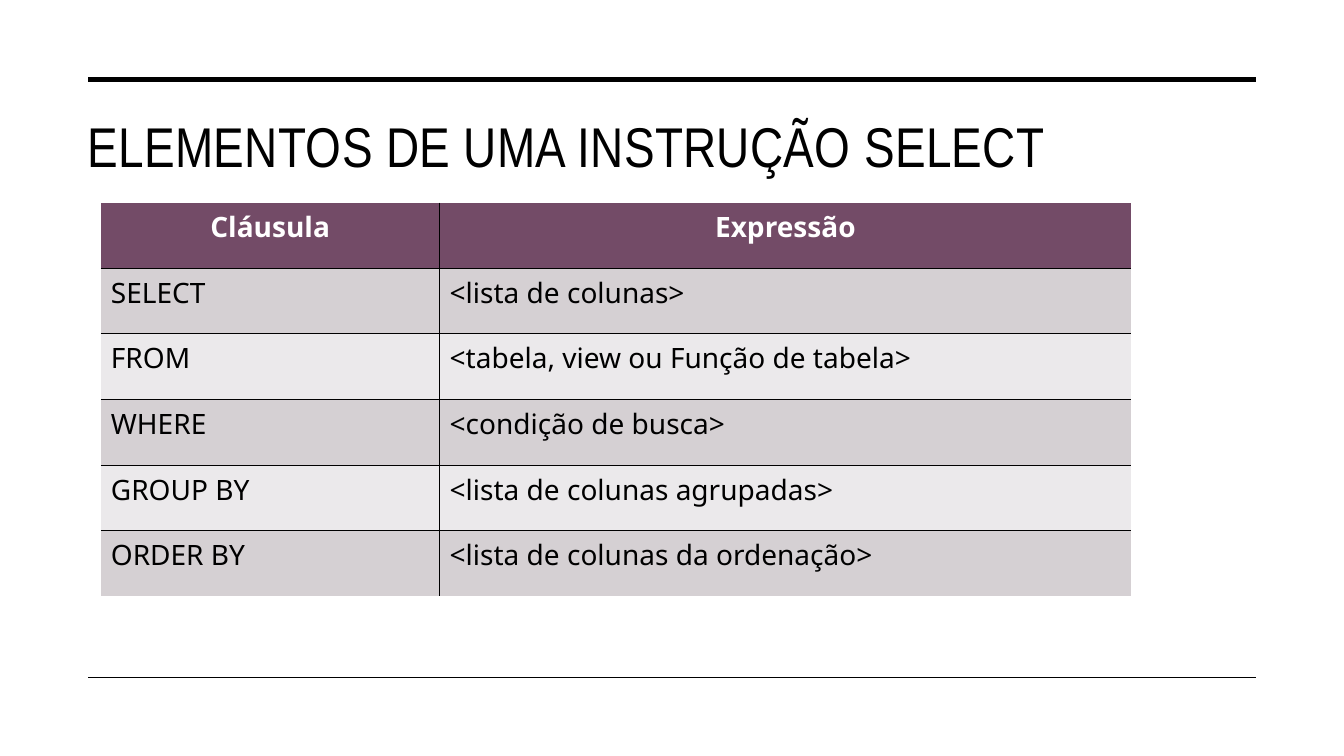
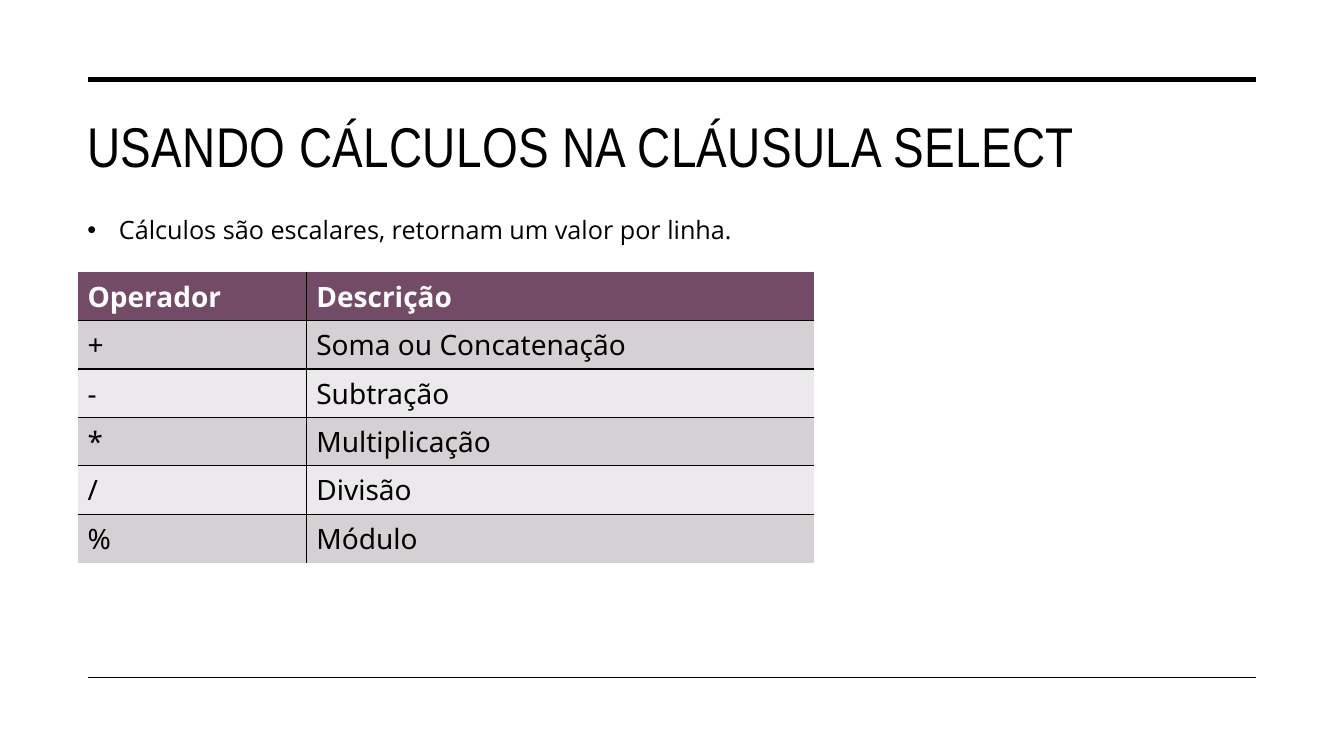
from dataclasses import dataclass

from lxml.etree import SubElement
from pptx import Presentation
from pptx.dml.color import RGBColor as Rgb
from pptx.enum.shapes import MSO_CONNECTOR as Connector
from pptx.enum.text import MSO_ANCHOR as Anchor, PP_ALIGN as Align
from pptx.oxml.ns import qn
from pptx.util import Pt


@dataclass(frozen=True)
class Theme:
    ink: Rgb = Rgb(0, 0, 0)
    paper: Rgb = Rgb(255, 255, 255)
    header: Rgb = Rgb(0x73, 0x4B, 0x67)
    bands: tuple = (Rgb(0xD5, 0xD0, 0xD3), Rgb(0xEB, 0xE9, 0xEB))
    title_font: str = "Arial Narrow"
    table_font: str = "Noto Sans"
    body_font: str = "Open Sans"
    title_size: int = 40
    table_size: int = 20
    body_size: int = 18


THEME = Theme()
WIDTH, HEIGHT = 960, 540
RULE_LEFT, RULE_RIGHT = 63.2, 897.2
RULES = ((57, 3.5), (483.8, 1))
TITLE_BOX = (55.4, 72.7, 841.7, 61.9)


def add_run(paragraph, text, font, size, color, bold=False):
    run = paragraph.add_run()
    run.text = text
    run.font.name = font
    run.font.size = Pt(size)
    run.font.color.rgb = color
    run.font.bold = bold
    return run


def add_text_frame(slide, box, anchor):
    frame = slide.shapes.add_textbox(*map(Pt, box)).text_frame
    frame.word_wrap = True
    frame.vertical_anchor = anchor
    return frame


def add_rule(slide, top, weight):
    rule = slide.shapes.add_connector(
        Connector.STRAIGHT, Pt(RULE_LEFT), Pt(top), Pt(RULE_RIGHT), Pt(top))
    rule.line.color.rgb = THEME.ink
    rule.line.width = Pt(weight)
    SubElement(rule.element.spPr, qn("a:effectLst"))


def add_titled_slide(deck, title):
    slide = deck.slides.add_slide(deck.slide_layouts[6])
    for top, weight in RULES:
        add_rule(slide, top, weight)
    frame = add_text_frame(slide, TITLE_BOX, Anchor.MIDDLE)
    run = add_run(frame.paragraphs[0], title, THEME.title_font,
                  THEME.title_size, THEME.ink)
    run.font._element.set("spc", "30")
    return slide


def add_bullet(slide, box, text, indent=22.5):
    paragraph = add_text_frame(slide, box, Anchor.TOP).paragraphs[0]
    properties = paragraph._p.get_or_add_pPr()
    properties.set("marL", str(Pt(indent)))
    properties.set("indent", str(-Pt(indent)))
    SubElement(properties, qn("a:buFont"), typeface="Arial")
    SubElement(properties, qn("a:buChar"), char="•")
    add_run(paragraph, text, THEME.body_font, THEME.body_size, THEME.ink)


def set_borders(cell, sides):
    properties = cell._tc.get_or_add_tcPr()
    for side, visible in sides.items():
        border = SubElement(properties, qn(f"a:ln{side}"), w=str(Pt(1)))
        if visible:
            fill = SubElement(border, qn("a:solidFill"))
            SubElement(fill, qn("a:srgbClr"), val=str(THEME.ink))
        else:
            SubElement(border, qn("a:noFill"))


def add_clause_table(slide, box, column_widths, rows, header_align=Align.LEFT):
    last_row, last_column = len(rows) - 1, len(column_widths) - 1
    table = slide.shapes.add_table(
        len(rows), len(column_widths), *map(Pt, box)).table
    for column, width in zip(table.columns, column_widths):
        column.width = Pt(width)
    for r, texts in enumerate(rows):
        is_header = r == 0
        table.rows[r].height = Pt(box[3] / len(rows))
        for c, text in enumerate(texts):
            cell = table.cell(r, c)
            set_borders(cell, {"L": c > 0, "R": c < last_column,
                               "T": r > 0, "B": r < last_row})
            cell.fill.solid()
            cell.fill.fore_color.rgb = (
                THEME.header if is_header else THEME.bands[(r - 1) % 2])
            paragraph = cell.text_frame.paragraphs[0]
            paragraph.alignment = header_align if is_header else Align.LEFT
            add_run(paragraph, text, THEME.table_font, THEME.table_size,
                    THEME.paper if is_header else THEME.ink, is_header)


def add_elements_slide(deck):
    slide = add_titled_slide(deck, "ELEMENTOS DE UMA INSTRUÇÃO SELECT")
    clauses = [
        ("Cláusula", "Expressão"),
        ("SELECT", "<lista de colunas>"),
        ("FROM", "<tabela, view ou Função de tabela>"),
        ("WHERE", "<condição de busca>"),
        ("GROUP BY", "<lista de colunas agrupadas>"),
        ("ORDER BY", "<lista de colunas da ordenação>"),
    ]
    add_clause_table(slide, (72, 144.7, 736, 281.4), (242, 494), clauses,
                     Align.CENTER)


def add_calculations_slide(deck):
    slide = add_titled_slide(deck, "USANDO CÁLCULOS NA CLÁUSULA SELECT")
    operators = [
        ("Operador", "Descrição"),
        ("+", "Soma ou Concatenação"),
        ("-", "Subtração"),
        ("*", "Multiplicação"),
        ("/", "Divisão"),
        ("%", "Módulo"),
    ]
    add_clause_table(slide, (55.4, 194.4, 526.3, 207.6), (163.4, 362.9),
                     operators)
    add_bullet(slide, (55.4, 149.8, 775.4, 28.8),
               "Cálculos são escalares, retornam um valor por linha.")


deck = Presentation()
deck.slide_width, deck.slide_height = Pt(WIDTH), Pt(HEIGHT)
add_elements_slide(deck)
add_calculations_slide(deck)
deck.save("out.pptx")
